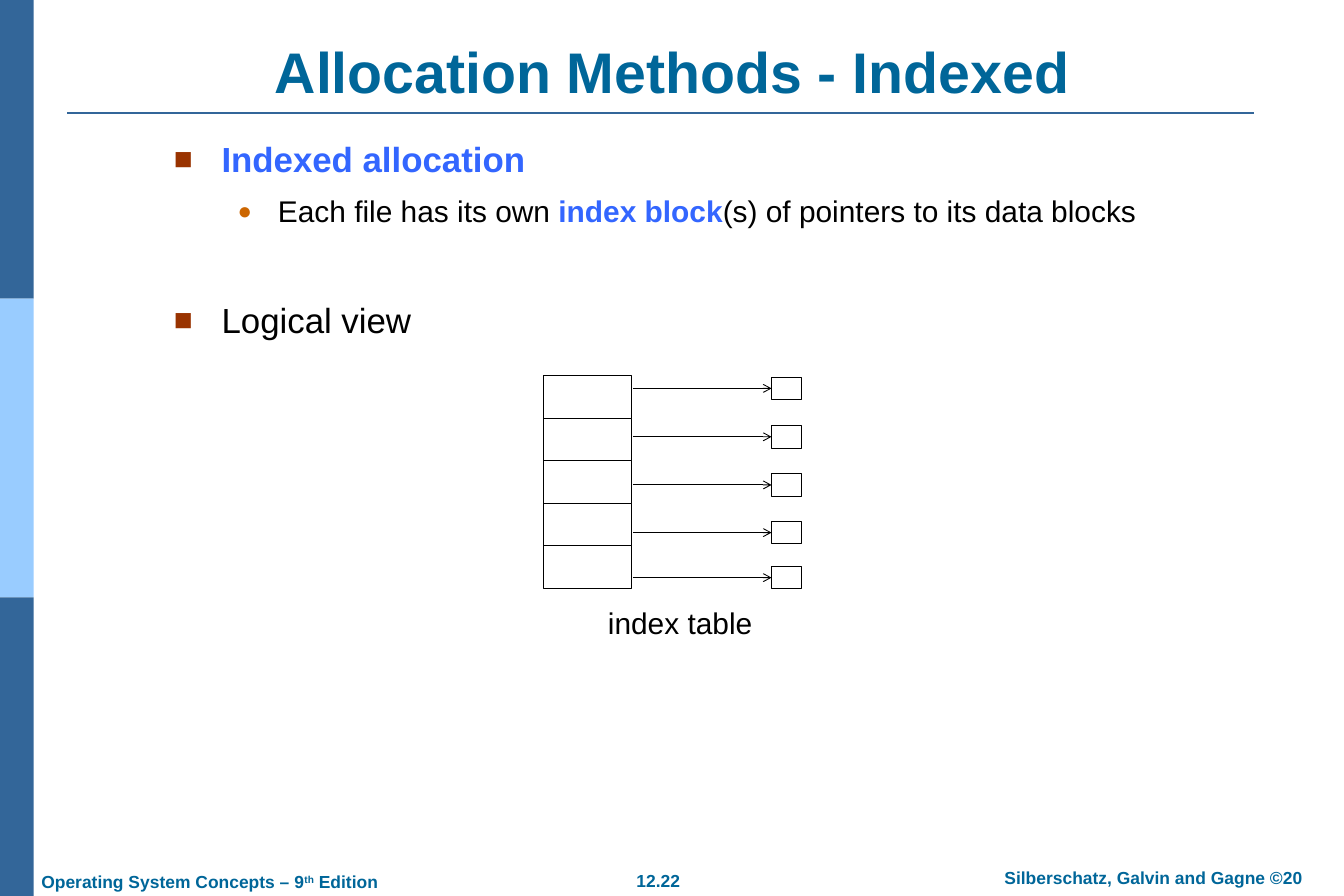
from lxml.etree import SubElement
from pptx import Presentation
from pptx.dml.color import RGBColor
from pptx.enum.shapes import MSO_CONNECTOR, MSO_SHAPE
from pptx.enum.text import MSO_ANCHOR, MSO_AUTO_SIZE, PP_ALIGN
from pptx.oxml.ns import qn
from pptx.util import Pt

COLORS = {
    "heading": "006699",
    "bar": "336699",
    "bar_light": "99CCFF",
    "term": "3366FF",
    "text": "000000",
    "white": "FFFFFF",
    "square": "993300",
    "dot": "CC6600",
}
BULLETS = [
    {"size": 28, "indent": 38.2, "hanging": 38.2, "symbol": "■", "color": "square", "scale": 90000},
    {"size": 24, "indent": 83.5, "hanging": 32.4, "symbol": "●", "color": "dot", "scale": 80000},
]


class SlideBuilder:
    font_name = "Arial"

    def __init__(self, slide):
        self.slide = slide

    def color(self, name):
        return RGBColor.from_string(COLORS[name])

    def style_font(self, font, size, color, bold=False):
        font.name = self.font_name
        font.size = Pt(size)
        font.bold = bold
        font.color.rgb = self.color(color)

    def frame(self, shape, anchor=MSO_ANCHOR.TOP):
        text_frame = shape.text_frame
        text_frame.word_wrap = True
        text_frame.auto_size = MSO_AUTO_SIZE.NONE
        text_frame.vertical_anchor = anchor
        text_frame.margin_left = text_frame.margin_right = Pt(10.2)
        text_frame.margin_top = text_frame.margin_bottom = Pt(5.1)
        return text_frame

    def title(self, text, left, top, width, height):
        shape = self.slide.shapes.title
        shape.left, shape.top, shape.width, shape.height = map(Pt, (left, top, width, height))
        paragraph = self.frame(shape, MSO_ANCHOR.BOTTOM).paragraphs[0]
        paragraph.text = text
        paragraph.alignment = PP_ALIGN.CENTER
        self.style_font(paragraph.font, 46, "heading", True)

    def text_box(self, left, top, width, height, anchor=MSO_ANCHOR.TOP):
        box = self.slide.shapes.add_textbox(Pt(left), Pt(top), Pt(width), Pt(height))
        return self.frame(box, anchor)

    def label(self, text, left, top, width, height, size=14, color="heading",
              bold=True, alignment=PP_ALIGN.CENTER):
        paragraph = self.text_box(left, top, width, height, MSO_ANCHOR.MIDDLE).paragraphs[0]
        paragraph.text = text
        paragraph.alignment = alignment
        self.style_font(paragraph.font, size, color, bold)
        return paragraph

    def bullet(self, paragraph, level, runs, space_before=0):
        style = BULLETS[level]
        paragraph.level = level
        paragraph.space_before = Pt(space_before)
        properties = paragraph._p.get_or_add_pPr()
        properties.set("marL", str(Pt(style["indent"])))
        properties.set("indent", str(-Pt(style["hanging"])))
        bullet_color = SubElement(properties, qn("a:buClr"))
        SubElement(bullet_color, qn("a:srgbClr"), val=COLORS[style["color"]])
        SubElement(properties, qn("a:buSzPct"), val=str(style["scale"]))
        SubElement(properties, qn("a:buFont"), typeface=self.font_name)
        SubElement(properties, qn("a:buChar"), char=style["symbol"])
        for text, is_term in runs:
            run = paragraph.add_run()
            run.text = text
            self.style_font(run.font, style["size"], "term" if is_term else "text", is_term)

    def rectangle(self, left, top, width, height, fill="white", line=None):
        shape = self.slide.shapes.add_shape(
            MSO_SHAPE.RECTANGLE, Pt(left), Pt(top), Pt(width), Pt(height))
        shape.shadow.inherit = False
        shape.fill.solid()
        shape.fill.fore_color.rgb = self.color(fill)
        if line:
            shape.line.color.rgb = self.color(line)
            shape.line.width = Pt(0.75)
        else:
            shape.line.fill.background()
        return shape

    def line(self, left, right, top, color, width, target=None):
        connector = self.slide.shapes.add_connector(
            MSO_CONNECTOR.STRAIGHT, Pt(left), Pt(top), Pt(right), Pt(top))
        connector.line.color.rgb = self.color(color)
        connector.line.width = Pt(width)
        if target is not None:
            connector.end_connect(target, 1)
            SubElement(connector.line._get_or_add_ln(), qn("a:tailEnd"), type="arrow")
        SubElement(connector._element.spPr, qn("a:effectLst"))


def main():
    presentation = Presentation()
    presentation.slide_width = Pt(1080)
    presentation.slide_height = Pt(720)
    slide = presentation.slides.add_slide(presentation.slide_layouts[5])
    builder = SlideBuilder(slide)

    for index, fill in enumerate(("bar", "bar_light", "bar")):
        builder.rectangle(0, index * 240, 27, 240, fill)
    builder.line(54, 1008, 90.5, "bar", 1.5)
    builder.title("Allocation Methods - Indexed", 54, 28.8, 972, 60.5)

    edition = builder.label("Operating System Concepts – 9", 23, 695, 300, 27,
                            alignment=PP_ALIGN.LEFT)
    superscript = edition.add_run()
    superscript.text = "th"
    superscript.font._element.set("baseline", "30000")
    edition.add_run().text = " Edition"
    builder.label("12.22", 475, 694, 108, 27)
    builder.label("Silberschatz, Galvin and Gagne ©20", 774, 692, 306, 27)

    body = builder.text_box(129.6, 105.8, 836.6, 180)
    builder.bullet(body.paragraphs[0], 0, [("Indexed allocation", True)])
    builder.bullet(body.add_paragraph(), 1, [
        ("Each file has its own ", False),
        ("index block", True),
        ("(s) of pointers to its data blocks", False),
    ], 10.5)
    builder.bullet(body.add_paragraph(), 0, [("Logical view", False)], 56.6)

    cell_left, cell_width, cell_height = 436.3, 71.3, 34.2
    block_left, block_width, block_height = 620, 24, 18
    for row, block_top in enumerate((303.1, 342, 380.7, 419, 455.2)):
        builder.rectangle(cell_left, 301.7 + row * cell_height, cell_width, cell_height,
                          line="text")
        block = builder.rectangle(block_left, block_top, block_width, block_height,
                                  line="text")
        builder.line(cell_left + cell_width + 1, block_left, block_top + block_height / 2,
                     "text", 0.75, block)
    builder.label("index table", 478, 481, 137, 39, 24, "text", False)

    presentation.save("out.pptx")


if __name__ == "__main__":
    main()
